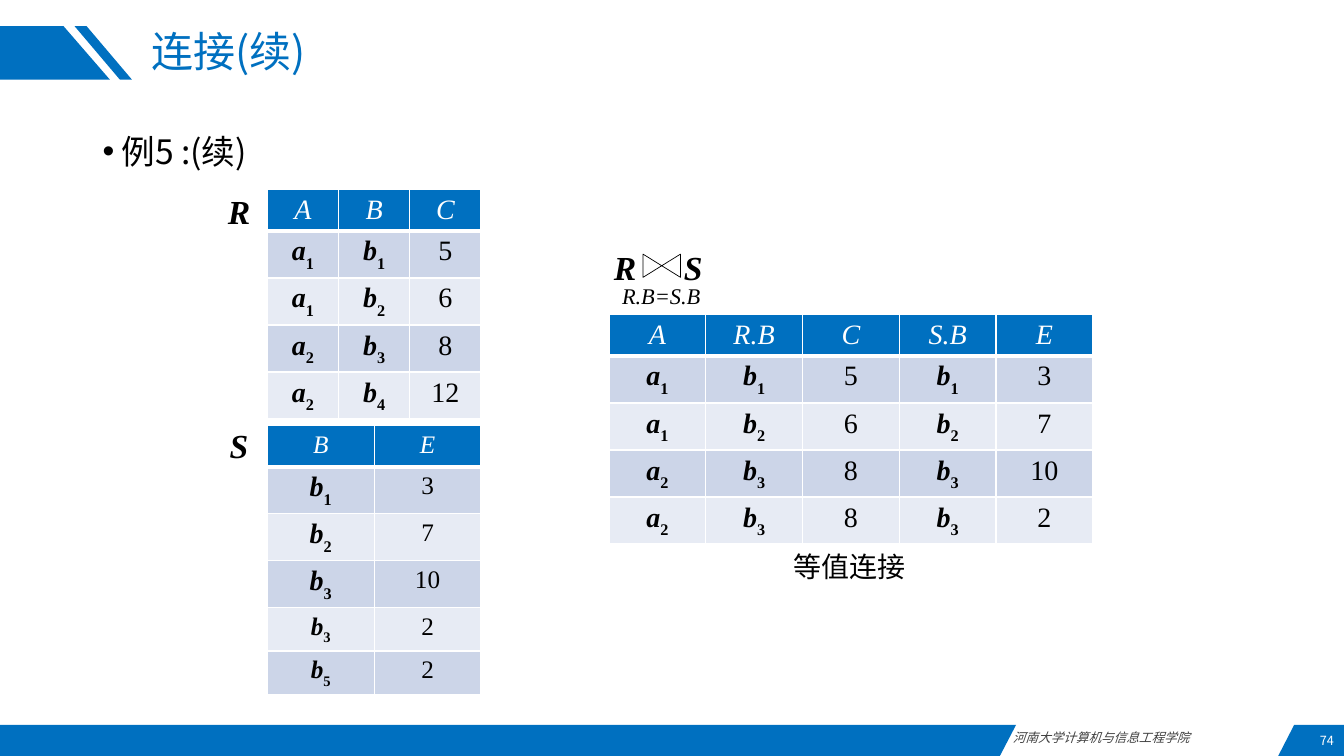
"""Build the slide on the equi-join of relations R and S."""
from dataclasses import dataclass

from lxml import etree
from pptx import Presentation
from pptx.dml.color import RGBColor
from pptx.enum.shapes import MSO_SHAPE
from pptx.enum.text import MSO_ANCHOR, PP_ALIGN
from pptx.oxml.ns import qn
from pptx.util import Pt

LEFT, CENTER, RIGHT = PP_ALIGN.LEFT, PP_ALIGN.CENTER, PP_ALIGN.RIGHT
TOP, MIDDLE = MSO_ANCHOR.TOP, MSO_ANCHOR.MIDDLE
COLLATE = MSO_SHAPE.FLOWCHART_COLLATE
SANS, SERIF = "Noto Sans CJK SC", "Times New Roman"
COLORS = {
    "blue": "0070C0", "white": "FFFFFF", "black": "000000",
    "gray": "404040", "odd": "CCD5E8", "even": "E7EBF4",
}
ROW_HEIGHT = 29.4


@dataclass
class Label:
    text: str
    box: tuple[float, float, float, float]
    size: float
    font: str = SERIF
    color: str = "black"
    bold: bool = False
    italic: bool = False
    align: PP_ALIGN = CENTER
    anchor: MSO_ANCHOR = TOP
    spacing: float = 1.0
    bullet: bool = False
    tab: float = 0


@dataclass
class Relation:
    left: float
    top: float
    width: float
    rows: list[str]
    size: float = 20
    large_rows: int = 0


BANDS = [
    [(0, 18.7), (45.4, 18.7), (78.5, 56.9), (0, 56.9)],
    [(61.9, 18.7), (94.3, 56.9), (85.7, 56.9), (53.3, 18.7)],
    [(0, 517.7), (725.8, 517.7), (714.2, 540), (0, 540)],
    [(924.5, 517.7), (960, 517.7), (960, 540), (913, 540)],
]
TITLE = Label("连接(续)", (100.8, 18.7, 752.4, 40.3), 30, SANS, "blue",
              align=LEFT, anchor=MIDDLE, spacing=0.9)
LABELS = [
    Label("河南大学计算机与信息工程学院", (716.4, 517.7, 196.6, 18), 9, SANS, "gray",
          italic=True, align=LEFT),
    Label("例5 :(续)", (66.2, 90, 828, 411.8), 24, SANS, align=LEFT, bullet=True),
    Label("R", (153.4, 131, 34.6, 39.6), 24, bold=True, italic=True, anchor=MIDDLE),
    Label("S", (153.4, 298.1, 34.6, 39.6), 24, bold=True, italic=True, anchor=MIDDLE),
    Label("R.B=S.B", (433.4, 198, 77.8, 29.5), 16, italic=True, anchor=MIDDLE, spacing=0.8),
    Label("R\tS", (431.5, 173, 100, 36), 24, bold=True, italic=True, align=LEFT, tab=50),
    Label("等值连接", (433.4, 388.8, 347, 31.7), 20, SANS),
    Label("74", (859.7, 518.4, 100.1, 21.6), 9, SANS, "white", align=RIGHT, anchor=MIDDLE),
]
RELATIONS = [
    Relation(191, 135.5, 152.6,
             ["A B C", "a1 b1 5", "a1 b2 6", "a2 b3 8", "a2 b4 12"]),
    Relation(191, 304, 152.6,
             ["B E", "b1 3", "b2 7", "b3 10", "b3 2", "b5 2"], 18, 3),
    Relation(435, 224.8, 345.6,
             ["A R.B C S.B E", "a1 b1 5 b1 3", "a1 b2 6 b2 7",
              "a2 b3 8 b3 10", "a2 b3 8 b3 2"]),
]


def rgb(name: str) -> RGBColor:
    """Return a named colour."""
    return RGBColor.from_string(COLORS[name])


def add_run(p, text: str, color: str, **formats) -> object:
    """Add a formatted run to a paragraph."""
    r = p.add_run()
    r.text = text
    for name, value in formats.items():
        setattr(r.font, name, value)
    r.font.color.rgb = rgb(color)
    etree.SubElement(r._r.get_or_add_rPr(), qn("a:ea"), typeface=formats["name"])
    return r


def write_label(sp, label: Label) -> None:
    """Place a shape and fill it with the text of a label."""
    for name, value in zip(("left", "top", "width", "height"), label.box):
        setattr(sp, name, Pt(value))
    tf = sp.text_frame
    tf.word_wrap = True
    tf.vertical_anchor = label.anchor
    p = tf.paragraphs[0]
    pPr = p._p.get_or_add_pPr()
    if label.bullet:
        pPr.set("marL", str(Pt(13.5)))
        pPr.set("indent", str(-Pt(13.5)))
        etree.SubElement(pPr, qn("a:buFont"), typeface="Arial")
        etree.SubElement(pPr, qn("a:buChar"), char="•")
    if label.tab:
        tabs = etree.SubElement(pPr, qn("a:tabLst"))
        etree.SubElement(tabs, qn("a:tab"), pos=str(Pt(label.tab)), algn="l")
    p.alignment = label.align
    p.line_spacing = label.spacing
    add_run(p, label.text, label.color, name=label.font, size=Pt(label.size),
            bold=label.bold, italic=label.italic)


def add_band(s, points: list[tuple[float, float]]) -> None:
    """Draw a blue polygon."""
    start, *rest = [(Pt(x), Pt(y)) for x, y in points]
    builder = s.shapes.build_freeform(*start, scale=1.0)
    builder.add_line_segments(rest, close=True)
    sp = builder.convert_to_shape()
    sp.shadow.inherit = False
    sp.fill.solid()
    sp.fill.fore_color.rgb = rgb("blue")
    sp.line.fill.background()


def add_header_borders(cell) -> None:
    """Give a header cell white borders with a thick lower edge."""
    tcPr = cell._tc.get_or_add_tcPr()
    for side, width in (("L", 1), ("R", 1), ("T", 1), ("B", 3)):
        ln = etree.SubElement(tcPr, qn(f"a:ln{side}"), w=str(Pt(width)))
        fill = etree.SubElement(ln, qn("a:solidFill"))
        etree.SubElement(fill, qn("a:srgbClr"), val=COLORS["white"])


def write_cell(cell, text: str, row: int, relation: Relation) -> None:
    """Fill one cell, setting the index of a variable as a subscript."""
    header, variable = row == 0, text[0] in "ab"
    if header:
        add_header_borders(cell)
    cell.fill.solid()
    cell.fill.fore_color.rgb = rgb("blue" if header else "odd" if row % 2 else "even")
    p = cell.text_frame.paragraphs[0]
    p.alignment = CENTER
    large = variable and row <= relation.large_rows
    formats = {"name": SERIF, "size": Pt(20 if large else relation.size), "bold": variable}
    color = "white" if header else "black"
    add_run(p, text[0] if variable else text, color, italic=header or variable, **formats)
    if variable:
        r = add_run(p, text[1:], color, italic=False, **formats)
        r._r.get_or_add_rPr().set("baseline", "-30000")


def add_relation(s, relation: Relation) -> None:
    """Draw a relation as a table."""
    grid = [row.split() for row in relation.rows]
    count = len(grid[0])
    table = s.shapes.add_table(
        len(grid), count, Pt(relation.left), Pt(relation.top),
        Pt(relation.width), Pt(ROW_HEIGHT * len(grid))).table
    for column in table.columns:
        column.width = Pt(relation.width / count)
    for i, row in enumerate(grid):
        table.rows[i].height = Pt(ROW_HEIGHT)
        for j, text in enumerate(row):
            write_cell(table.cell(i, j), text, i, relation)


def add_join_symbol(s) -> None:
    """Draw the bow tie of the join operator."""
    sp = s.shapes.add_shape(COLLATE, Pt(464.4), Pt(176.4), Pt(16.6), Pt(26.8))
    sp.rotation = 270
    sp.shadow.inherit = False
    sp.fill.solid()
    sp.fill.fore_color.rgb = rgb("white")
    sp.line.color.rgb = rgb("black")
    sp.line.width = Pt(0.5)


def main() -> None:
    """Build and save the presentation."""
    prs = Presentation()
    prs.slide_width, prs.slide_height = Pt(960), Pt(540)
    s = prs.slides.add_slide(prs.slide_layouts[5])
    for points in BANDS:
        add_band(s, points)
    write_label(s.shapes.title, TITLE)
    for relation in RELATIONS:
        add_relation(s, relation)
    add_join_symbol(s)
    for label in LABELS:
        write_label(s.shapes.add_textbox(0, 0, 0, 0), label)
    prs.save("out.pptx")


if __name__ == "__main__":
    main()
